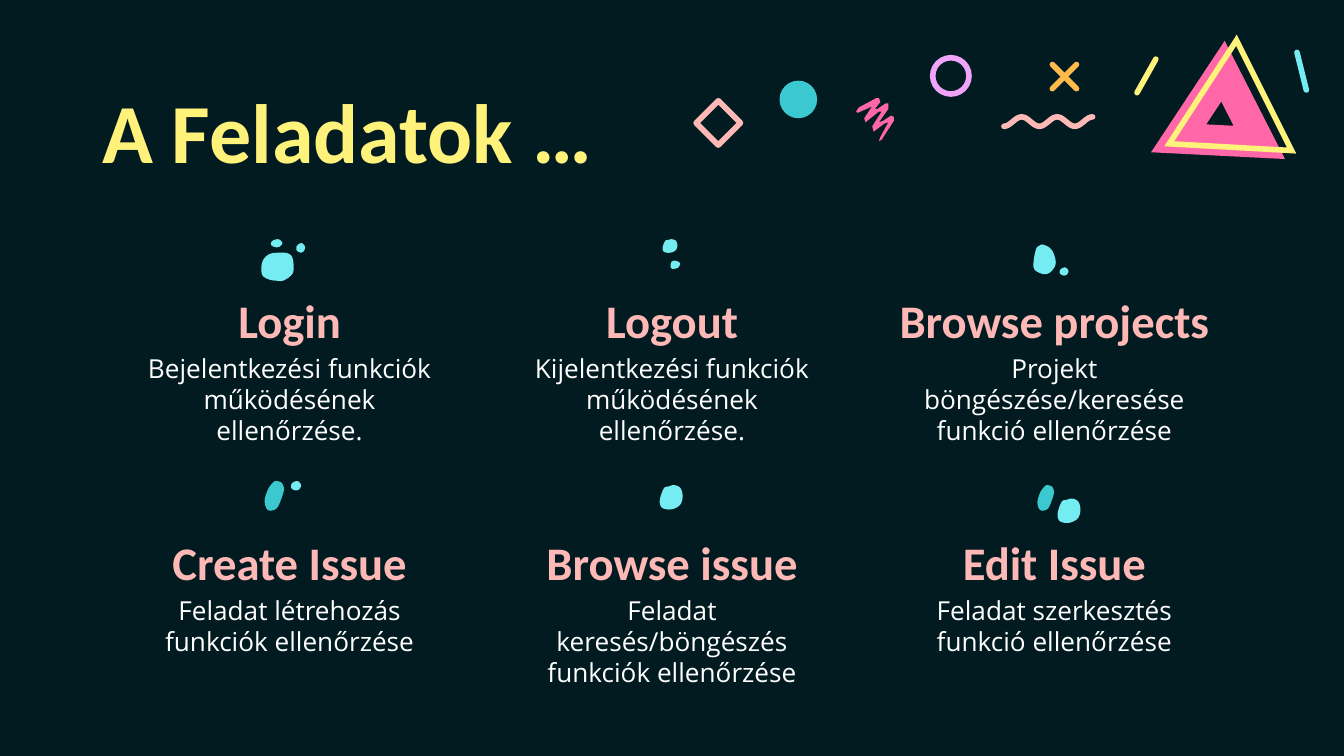
import math

from lxml import etree
from pptx import Presentation, util as u
from pptx.dml.color import RGBColor
from pptx.enum import shapes, text
from pptx.oxml import ns

NIGHT = RGBColor(0x02, 0x1B, 0x21)
YELLOW = RGBColor(0xFF, 0xF2, 0x7A)
SALMON = RGBColor(0xFE, 0xB9, 0xB6)
WHITE = RGBColor(0xFF, 0xFF, 0xFF)
PINK = RGBColor(0xFF, 0x67, 0xA8)
TEAL = RGBColor(0x3B, 0xC8, 0xCF)
CYAN = RGBColor(0x75, 0xEC, 0xF1)
ORANGE = RGBColor(0xFE, 0xBA, 0x4B)
LILAC = RGBColor(0xEF, 0xA4, 0xFA)

SLIDE_WIDTH = u.Inches(10)
SLIDE_HEIGHT = SLIDE_WIDTH * 9 // 16
LEFT, TOP, RIGHT_LEFT, ROW_STEP, COL_WIDTH = 0.88, 2.16, 6.57, 1.8, 2.55
COL_STEP = (RIGHT_LEFT - LEFT) / 2

TITLE_FONT = {"name": "Calibri", "size": u.Pt(45), "bold": True}
HEAD_FONT = {"name": "Calibri", "size": u.Pt(25), "bold": True}
BODY_FONT = {"name": "Open Sans", "size": u.Pt(14), "bold": False}

PEBBLE = [(0.63, 0), (0.4, 0.05), (0.18, 0.13), (0, 0.6), (0.06, 0.9),
          (0.3, 1), (0.6, 0.98), (0.9, 0.8), (1, 0.45), (0.9, 0.12)]
LEAF = [(0.64, 0), (0.5, 0.02), (0.2, 0.25), (0, 0.64), (0.1, 0.93),
        (0.35, 1), (0.7, 0.87), (1, 0.37), (1, 0.18), (0.88, 0.05)]
DOT = [(0.65, 0), (0.15, 0.25), (0.1, 0.75), (0.5, 1), (0.85, 0.85), (1, 0.4)]
CHIP = [(0.4, 0), (0.1, 0.15), (0, 0.5), (0, 0.8), (0.15, 1), (0.4, 1),
        (0.8, 0.85), (1, 0.4), (0.85, 0.15)]
STONE = [(0.6, 0), (0.25, 0.06), (0.05, 0.33), (0.04, 0.77), (0.24, 0.95),
         (0.5, 1), (0.7, 0.98), (0.96, 0.72), (0.96, 0.25), (0.85, 0.05)]
EGG = [(0.4, 0), (0.3, 0.02), (0.12, 0.14), (0, 0.6), (0.06, 0.86),
       (0.45, 1), (0.76, 0.92), (0.97, 0.65), (0.88, 0.3), (0.69, 0.1)]

SCRIBBLE = [(6.54, 0.73), (6.55, 0.76), (6.51, 0.81), (6.53, 0.81), (6.59, 0.77),
            (6.61, 0.77), (6.61, 0.81), (6.54, 0.91), (6.57, 0.9), (6.63, 0.86),
            (6.65, 0.87), (6.65, 0.9), (6.56, 1.04), (6.54, 1.05), (6.55, 1.02),
            (6.61, 0.91), (6.58, 0.92), (6.5, 0.98), (6.49, 0.94), (6.56, 0.83),
            (6.54, 0.83), (6.44, 0.91), (6.43, 0.88), (6.49, 0.79), (6.45, 0.81),
            (6.38, 0.84), (6.37, 0.83), (6.39, 0.8), (6.52, 0.73)]

CARDS = [
    [("Login", "Bejelentkezési funkciók működésének ellenőrzése."),
     ("Logout", "Kijelentkezési funkciók működésének ellenőrzése."),
     ("Browse projects", "Projekt böngészése/keresése funkció ellenőrzése")],
    [("Create Issue", "Feladat létrehozás funkciók ellenőrzése"),
     ("Browse issue", "Feladat keresés/böngészés funkciók ellenőrzése"),
     ("Edit Issue", "Feladat szerkesztés funkció ellenőrzése")],
]

BLOBS = [
    (STONE, CYAN, 1.94, 1.88, 0.25, 0.21), (DOT, CYAN, 2.2, 1.81, 0.07, 0.07),
    (DOT, CYAN, 2.01, 1.78, 0.09, 0.06), (CHIP, CYAN, 4.99, 1.94, 0.07, 0.06),
    (PEBBLE, CYAN, 4.93, 1.78, 0.11, 0.1), (EGG, CYAN, 7.69, 1.82, 0.17, 0.22),
    (DOT, CYAN, 7.88, 1.99, 0.07, 0.06), (LEAF, TEAL, 1.97, 3.58, 0.14, 0.22),
    (DOT, CYAN, 2.16, 3.58, 0.08, 0.07), (PEBBLE, CYAN, 4.91, 3.61, 0.17, 0.18),
    (PEBBLE, CYAN, 7.87, 3.71, 0.17, 0.18), (LEAF, TEAL, 7.72, 3.61, 0.12, 0.19),
]

STROKES = [
    (ORANGE, 8.01, 0.48, 7.83, 0.66), (ORANGE, 7.83, 0.48, 8.01, 0.66),
    (YELLOW, 8.46, 0.69, 8.6, 0.44), (CYAN, 9.65, 0.39, 9.72, 0.67),
]


def smooth(knots, steps=6):
    points = []
    for i in range(len(knots)):
        a, b, c, d = (knots[(i + k) % len(knots)] for k in (-1, 0, 1, 2))
        for t in (n / steps for n in range(steps)):
            points.append(tuple(
                0.5 * (2 * q + (r - p) * t + (2 * p - 5 * q + 4 * r - v) * t ** 2
                       + (3 * q - p - 3 * r + v) * t ** 3)
                for p, q, r, v in zip(a, b, c, d)))
    return points


def style(sp, fill=None, line=None, width=3, join="round"):
    sp.shadow.inherit = False
    if fill is None:
        sp.fill.background()
    else:
        sp.fill.solid()
        sp.fill.fore_color.rgb = fill
    if line is None:
        sp.line.fill.background()
    else:
        set_stroke(sp, line, width, join)


def set_stroke(sp, color, width=3, join="round"):
    sp.line.color.rgb = color
    sp.line.width = u.Pt(width)
    ln = sp.line._get_or_add_ln()
    ln.set("cap", "rnd" if join == "round" else "flat")
    edge = etree.SubElement(ln, ns.qn(f"a:{join}"))
    if join == "miter":
        edge.set("lim", "800000")


def add_outline(s, points, close=True, **look):
    emu = [(u.Inches(x), u.Inches(y)) for x, y in points]
    builder = s.shapes.build_freeform(*emu[0])
    builder.add_line_segments(emu[1:], close=close)
    style(builder.convert_to_shape(), **look)


def add_blob(s, knots, color, x, y, w, h):
    add_outline(s, [(x + px * w, y + py * h) for px, py in smooth(knots)], fill=color)


def add_preset(s, kind, x, y, size, **look):
    box = [u.Inches(v) for v in (x, y, size, size)]
    style(s.shapes.add_shape(kind, *box), **look)


def add_stroke(s, color, *ends):
    line = s.shapes.add_connector(shapes.MSO_CONNECTOR.STRAIGHT, *map(u.Inches, ends))
    set_stroke(line, color)
    etree.SubElement(line._element.spPr, ns.qn("a:effectLst"))


def write(sp, words, font, color, align, anchor=text.MSO_ANCHOR.TOP):
    tf = sp.text_frame
    frame = {"word_wrap": True, "auto_size": text.MSO_AUTO_SIZE.NONE,
             "vertical_anchor": anchor}
    frame.update({f"margin_{side}": u.Inches(0.1)
                  for side in ("left", "right", "top", "bottom")})
    for key, value in frame.items():
        setattr(tf, key, value)
    p = tf.paragraphs[0]
    p.alignment, p.line_spacing = align, 1.0
    r = p.add_run()
    r.text = words
    for key, value in font.items():
        setattr(r.font, key, value)
    r.font.color.rgb = color


def add_title(s, words):
    sp = s.shapes.title
    sp.left, sp.top, sp.width, sp.height = map(u.Inches, (0.66, 0.49, 4.35, 0.76))
    write(sp, words, TITLE_FONT, YELLOW, text.PP_ALIGN.LEFT)


def add_card(s, col, row, heading, body):
    x, y = LEFT + col * COL_STEP, TOP + row * ROW_STEP
    head = s.shapes.add_textbox(*map(u.Inches, (x, y, COL_WIDTH, 0.53)))
    write(head, heading, HEAD_FONT, SALMON, text.PP_ALIGN.CENTER, text.MSO_ANCHOR.BOTTOM)
    sp = s.shapes.add_textbox(*map(u.Inches, (x, y + 0.36, COL_WIDTH, 0.64)))
    write(sp, body, BODY_FONT, WHITE, text.PP_ALIGN.CENTER)


def add_ornaments(s):
    add_outline(s, SCRIBBLE, fill=PINK)
    add_preset(s, shapes.MSO_SHAPE.DIAMOND, 5.18, 0.75, 0.33, line=SALMON)
    add_preset(s, shapes.MSO_SHAPE.OVAL, 5.8, 0.6, 0.28, fill=TEAL)
    add_preset(s, shapes.MSO_SHAPE.OVAL, 6.94, 0.43, 0.27, line=LILAC)
    add_outline(s, [(8.77, 1.03), (9.37, 1.06), (9.1, 0.53)],
                line=PINK, width=16.42, join="miter")
    add_outline(s, [(8.7, 1.07), (9.61, 1.12), (9.2, 0.3)], line=YELLOW, join="miter")
    wave = [(7.47 + 0.66 * n / 50, 0.905 + 0.035 * math.cos(math.pi * n / 10))
            for n in range(51)]
    add_outline(s, wave, close=False, line=SALMON)
    for stroke in STROKES:
        add_stroke(s, *stroke)


def main():
    prs = Presentation()
    prs.slide_width, prs.slide_height = SLIDE_WIDTH, SLIDE_HEIGHT
    s = prs.slides.add_slide(prs.slide_layouts[5])
    s.background.fill.solid()
    s.background.fill.fore_color.rgb = NIGHT
    add_ornaments(s)
    add_title(s, "A Feladatok …")
    for row, cards in enumerate(CARDS):
        for col, card in enumerate(cards):
            add_card(s, col, row, *card)
    for blob in BLOBS:
        add_blob(s, *blob)
    prs.save("out.pptx")


if __name__ == "__main__":
    main()
